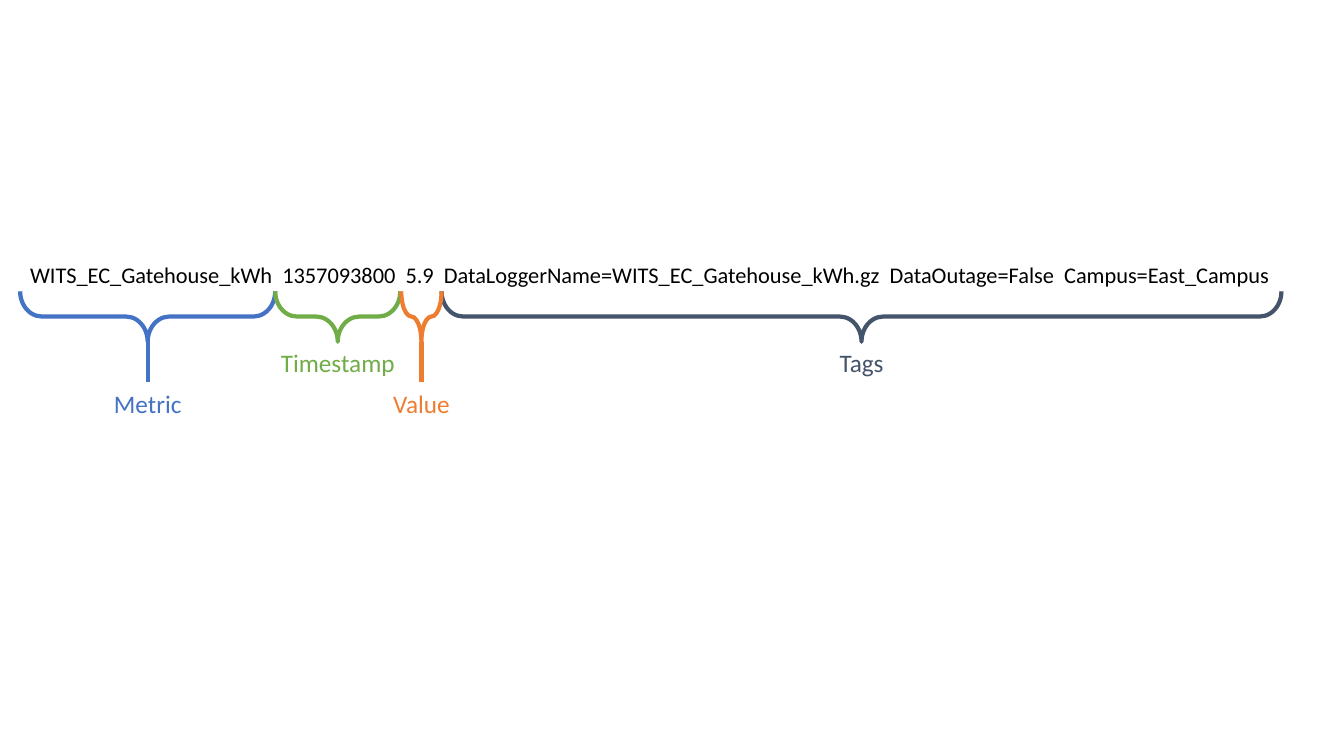
from pptx import Presentation
from pptx.dml.color import RGBColor
from pptx.enum.shapes import MSO_CONNECTOR as Connector, MSO_SHAPE as Shape
from pptx.enum.text import MSO_ANCHOR as Anchor, PP_ALIGN as Align
from pptx.oxml.ns import qn
from pptx.util import Inches, Pt
from lxml import etree

BLACK = RGBColor(0x00, 0x00, 0x00)
BLUE = RGBColor(0x44, 0x72, 0xC4)
GREEN = RGBColor(0x70, 0xAD, 0x47)
ORANGE = RGBColor(0xED, 0x7D, 0x31)
SLATE = RGBColor(0x44, 0x54, 0x6A)

RECORD = ("WITS_EC_Gatehouse_kWh  1357093800  5.9  "
          "DataLoggerName=WITS_EC_Gatehouse_kWh.gz  DataOutage=False  Campus=East_Campus")

# label, left edge, right edge, label width, colour, has a stem
FIELDS = [
    ("Metric", 0.2, 2.73, 0.91, BLUE, True),
    ("Timestamp", 2.73, 3.97, 1.41, GREEN, False),
    ("Tags", 4.38, 12.71, 0.91, SLATE, False),
    ("Value", 3.98, 4.38, 0.79, ORANGE, True),
]

BRACE_TOP = 2.89
BRACE_DEPTH = 0.5
LABEL_TOP = 3.4
LABEL_HEIGHT = 0.4
STEM_LENGTH = 0.4
LINE_WIDTH = Pt(3)


def add_text(slide, text, left, top, width, height, *, size, color,
             align=Align.LEFT, inset_top=0.05):
    box = slide.shapes.add_textbox(Inches(left), Inches(top), Inches(width), Inches(height))
    frame = box.text_frame
    frame.word_wrap = True
    frame.vertical_anchor = Anchor.TOP
    frame.margin_top = Inches(inset_top)
    paragraph = frame.paragraphs[0]
    paragraph.alignment = align
    run = paragraph.add_run()
    run.text = text
    run.font.name = "Calibri"
    run.font.size = Pt(size)
    run.font.color.rgb = color


def add_brace(slide, left, right, color):
    """Draw a brace that opens upward and spans left to right."""
    span = right - left
    center_x = (left + right) / 2
    center_y = BRACE_TOP + BRACE_DEPTH / 2
    brace = slide.shapes.add_shape(
        Shape.LEFT_BRACE,
        Inches(center_x - BRACE_DEPTH / 2), Inches(center_y - span / 2),
        Inches(BRACE_DEPTH), Inches(span))
    brace.rotation = 270
    brace.adjustments[0] = 0.43
    brace.adjustments[1] = 0.5
    brace.shadow.inherit = False
    brace.fill.background()
    brace.line.color.rgb = color
    brace.line.width = LINE_WIDTH


def add_stem(slide, x, color):
    top = BRACE_TOP + BRACE_DEPTH
    stem = slide.shapes.add_connector(
        Connector.STRAIGHT, Inches(x), Inches(top), Inches(x), Inches(top + STEM_LENGTH))
    stem.line.color.rgb = color
    stem.line.width = LINE_WIDTH
    etree.SubElement(stem._element.spPr, qn("a:effectLst"))


def main():
    presentation = Presentation()
    presentation.slide_width = Inches(13.33)
    presentation.slide_height = Inches(7.5)
    slide = presentation.slides.add_slide(presentation.slide_layouts[6])

    add_text(slide, RECORD, 0.2, 2.24, 12.84, 1.01, size=16, color=BLACK, inset_top=0.35)
    for label, left, right, label_width, color, has_stem in FIELDS:
        center = (left + right) / 2
        label_top = LABEL_TOP + (STEM_LENGTH if has_stem else 0)
        add_text(slide, label, center - label_width / 2, label_top, label_width, LABEL_HEIGHT,
                 size=18, color=color, align=Align.CENTER)
        add_brace(slide, left, right, color)
        if has_stem:
            add_stem(slide, center, color)

    presentation.save("out.pptx")


if __name__ == "__main__":
    main()
